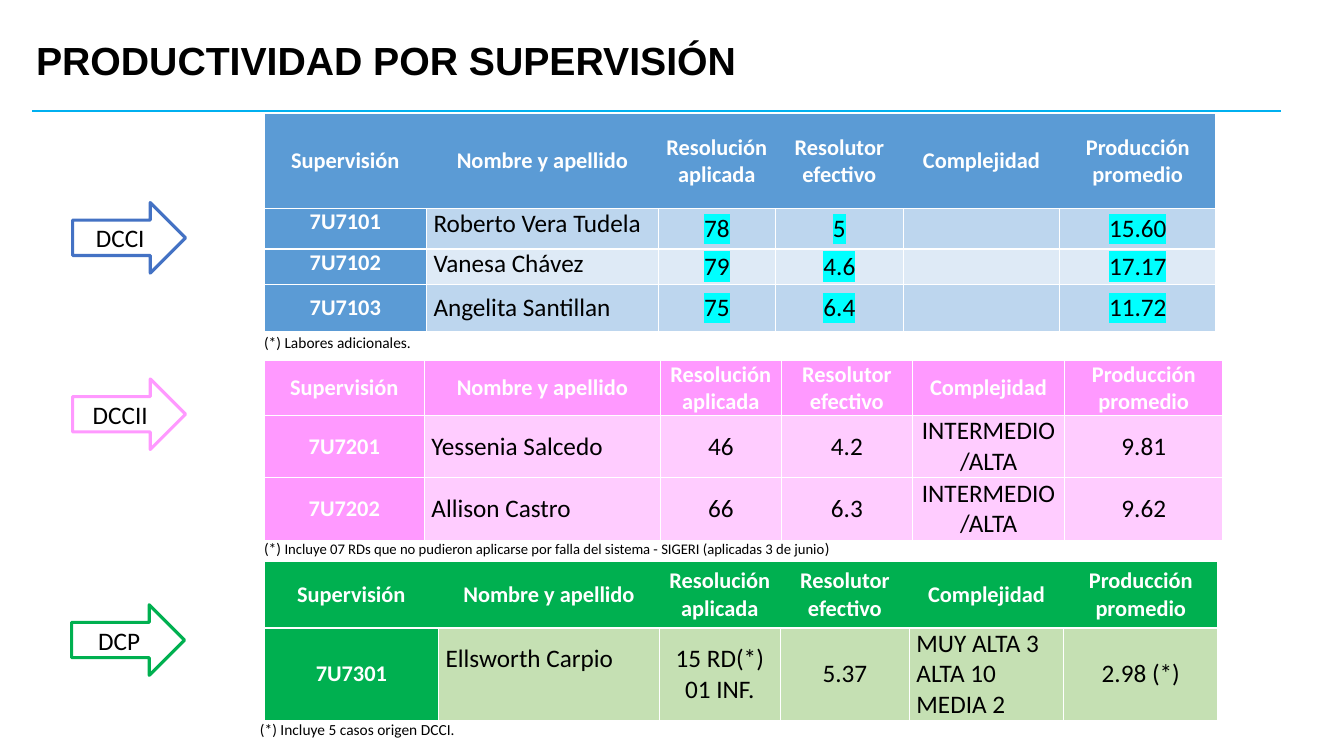
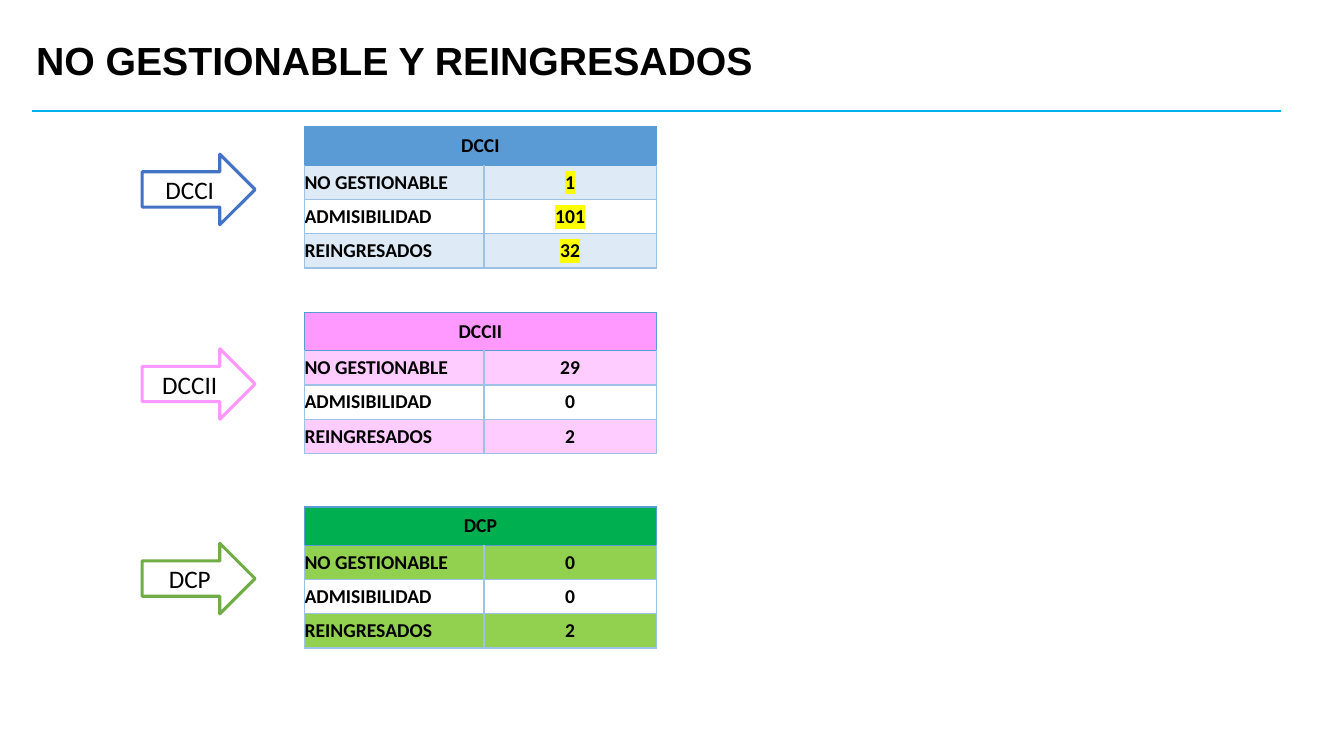
from dataclasses import dataclass

from lxml import etree
from pptx import Presentation
from pptx.dml.color import RGBColor
from pptx.enum.shapes import MSO_CONNECTOR, MSO_SHAPE
from pptx.enum.text import MSO_ANCHOR, PP_ALIGN
from pptx.oxml.ns import qn
from pptx.util import Pt

LEFT, CENTER = PP_ALIGN.LEFT, PP_ALIGN.CENTER
TOP, MIDDLE = MSO_ANCHOR.TOP, MSO_ANCHOR.MIDDLE
RIGHT_ARROW = MSO_SHAPE.RIGHT_ARROW
STRAIGHT = MSO_CONNECTOR.STRAIGHT
EMU_PER_PX = 9144  # 100 px to the inch
EDGES = ("L", "R", "T", "B")


@dataclass(frozen=True)
class Theme:
    title_font: str = "Arial"
    body_font: str = "Calibri"
    black: str = "000000"
    white: str = "FFFFFF"
    rule: str = "00B0F0"
    blue: str = "5B9BD5"
    blue_band: str = "BDD6EE"
    blue_pale: str = "DEEAF6"
    blue_arrow: str = "4472C4"
    pink: str = "FF99FF"
    pink_band: str = "FFCCFF"
    green: str = "00B050"
    green_band: str = "C5E0B3"
    lime_band: str = "92D050"
    lime_arrow: str = "70AD47"
    summary_grid: str = "9CC2E5"
    cyan_mark: str = "00FFFF"
    yellow_mark: str = "FFFF00"
    title_size: float = 28
    body_size: float = 18
    header_size: float = 16
    summary_size: float = 14
    note_size: float = 11
    note_small: float = 10.5
    rule_width: float = 1.5
    arrow_width: float = 2.25


THEME = Theme()
HEADERS = ("Supervisión", "Nombre y apellido", "Resolución aplicada",
           "Resolutor efectivo", "Complejidad", "Producción promedio")
SUMMARY_LABELS = ("NO GESTIONABLE", "ADMISIBILIDAD", "REINGRESADOS")


def px(*lengths):
    """Turn px into EMU, as one value or a list."""
    emu = [length * EMU_PER_PX for length in lengths]
    return emu[0] if len(emu) == 1 else emu


def rgb(value):
    return RGBColor.from_string(value)


def add_run(paragraph, text, size, color=THEME.black, bold=False,
            font=THEME.body_font, mark=None):
    run = paragraph.add_run()
    run.text = text
    run.font.size = Pt(size)
    run.font.bold = bold
    run.font.color.rgb = rgb(color)
    if mark:
        highlight = etree.SubElement(run.font._element, qn("a:highlight"))
        etree.SubElement(highlight, qn("a:srgbClr"), val=mark)
    run.font.name = font


def set_borders(cell, colors):
    """Draw 1 pt cell edges; colors follow EDGES, None hides an edge."""
    properties = cell._tc.get_or_add_tcPr()
    for position, (edge, color) in enumerate(zip(EDGES, colors)):
        line = etree.Element(qn(f"a:ln{edge}"), w=str(Pt(1)))
        if color:
            fill = etree.SubElement(line, qn("a:solidFill"))
            etree.SubElement(fill, qn("a:srgbClr"), val=color)
        else:
            etree.SubElement(line, qn("a:noFill"))
        properties.insert(position, line)


def fill_cell(cell, text, fill, borders, align=CENTER, anchor=MIDDLE,
              side=0, bottom=0, **style):
    cell.margin_left = cell.margin_right = px(side)
    cell.margin_top, cell.margin_bottom = px(0, bottom)
    cell.vertical_anchor = anchor
    if fill:
        cell.fill.solid()
        cell.fill.fore_color.rgb = rgb(fill)
    else:
        cell.fill.background()
    set_borders(cell, borders)
    for index, line in enumerate(text.split("\n") if text else ()):
        frame = cell.text_frame
        paragraph = frame.add_paragraph() if index else frame.paragraphs[0]
        paragraph.alignment = align
        add_run(paragraph, line, **style)


def add_grid(slide, left, top, widths, heights):
    """Add a table with the given column widths and row heights."""
    table = slide.shapes.add_table(
        len(heights), len(widths),
        *px(left, top, sum(widths), sum(heights))).table
    for column, width in zip(table.columns, widths):
        column.width = px(width)
    for row, height in zip(table.rows, heights):
        row.height = px(height)
    return table


def add_title_band(slide, title):
    rule = slide.shapes.add_connector(STRAIGHT, *px(32, 110, 1271, 110))
    rule.line.color.rgb = rgb(THEME.rule)
    rule.line.width = Pt(THEME.rule_width)
    etree.SubElement(rule._element.spPr, qn("a:effectLst"))
    frame = slide.shapes.add_textbox(*px(26, 27, 1150, 70)).text_frame
    frame.word_wrap = True
    frame.vertical_anchor = MIDDLE
    paragraph = frame.paragraphs[0]
    paragraph.line_spacing = 0.9
    add_run(paragraph, title, THEME.title_size, bold=True,
            font=THEME.title_font)


def add_section_arrow(slide, left, top, section, color):
    arrow = slide.shapes.add_shape(RIGHT_ARROW, *px(left, top, 112, 70))
    arrow.shadow.inherit = False
    arrow.fill.solid()
    arrow.fill.fore_color.rgb = rgb(THEME.white)
    arrow.line.color.rgb = rgb(color)
    arrow.line.width = Pt(THEME.arrow_width)
    arrow.text_frame.vertical_anchor = MIDDLE
    paragraph = arrow.text_frame.paragraphs[0]
    paragraph.alignment = CENTER
    add_run(paragraph, section, THEME.body_size)


def add_footnote(slide, left, top, *parts):
    """Add a note made of (text, size) parts."""
    frame = slide.shapes.add_textbox(*px(left, top, 945, 29)).text_frame
    frame.word_wrap = True
    for text, size in parts:
        add_run(frame.paragraphs[0], text, size)


def add_productivity_table(slide, left, top, widths, heights, color, bands,
                           rows, header_grid=False, top_rows=0, mark=None,
                           complexity_align=CENTER, name_bottom=0):
    """bands colour the body rows; the first top_rows sit at the top."""
    table = add_grid(slide, left, top, widths, heights)
    grid = (THEME.white,) * 4
    label = dict(size=THEME.header_size, color=THEME.white, bold=True)
    last = len(HEADERS) - 1
    for column, header in enumerate(HEADERS):
        edges = grid if header_grid else (
            None if column else THEME.white,
            THEME.white if column == last else None,
            THEME.white, THEME.white)
        fill_cell(table.cell(0, column), header, color, edges, side=7, **label)
    for index, (code, name, *figures) in enumerate(rows):
        row = index + 1
        band = bands[index % len(bands)]
        anchor = TOP if index < top_rows else MIDDLE
        fill_cell(table.cell(row, 0), code, color, grid, anchor=anchor,
                  side=7, **label)
        fill_cell(table.cell(row, 1), name, band, grid, LEFT, anchor, side=7,
                  bottom=name_bottom, size=THEME.body_size)
        for column, figure in enumerate(figures, 2):
            align = complexity_align if column == 4 else CENTER
            fill_cell(table.cell(row, column), figure, band, grid, align,
                      side=7, size=THEME.body_size, mark=mark)


def add_summary_table(slide, left, top, section, color, band, counts,
                      mark=None):
    table = add_grid(slide, left, top, (178, 171), (38, 34, 34, 34))
    style = dict(size=THEME.summary_size, bold=True)
    table.cell(0, 0).merge(table.cell(0, 1))
    for column, text in enumerate((section, "")):
        fill_cell(table.cell(0, column), text, color, (THEME.blue,) * 4,
                  **style)
    for row, (label, count) in enumerate(zip(SUMMARY_LABELS, counts), 1):
        grid = THEME.summary_grid
        edges = (grid, grid, THEME.blue if row == 1 else grid, grid)
        fill = band if row % 2 else None
        fill_cell(table.cell(row, 0), label, fill, edges, LEFT, **style)
        fill_cell(table.cell(row, 1), count, fill, edges, mark=mark, **style)


def build_productivity(slide):
    add_title_band(slide, "PRODUCTIVIDAD POR SUPERVISIÓN")
    for left, top, section, color in (
            (72, 201, "DCCI", THEME.blue_arrow),
            (72, 376, "DCCII", THEME.pink),
            (71, 600, "DCP", THEME.green)):
        add_section_arrow(slide, left, top, section, color)
    add_productivity_table(
        slide, 262, 113, (161, 230, 116, 127, 155, 155), (94, 40, 35, 47),
        THEME.blue, (THEME.blue_band, THEME.blue_pale),
        (("7U7101", "Roberto Vera Tudela", "78", "5", "", "15.60"),
         ("7U7102", "Vanesa Chávez", "79", "4.6", "", "17.17"),
         ("7U7103", "Angelita Santillan", "75", "6.4", "", "11.72")),
        top_rows=2, mark=THEME.cyan_mark)
    add_productivity_table(
        slide, 262, 358, (159, 234, 120, 130, 151, 157), (54, 62, 62),
        THEME.pink, (THEME.pink_band,),
        (("7U7201", "Yessenia Salcedo", "46", "4.2", "INTERMEDIO/ALTA", "9.81"),
         ("7U7202", "Allison Castro", "66", "6.3", "INTERMEDIO/ALTA", "9.62")),
        header_grid=True)
    add_productivity_table(
        slide, 262, 557, (173, 219, 120, 128, 153, 153), (66, 92),
        THEME.green, (THEME.green_band,),
        (("7U7301", "Ellsworth Carpio", "15 RD(*)\n01 INF.", "5.37",
          "MUY ALTA 3\nALTA 10\nMEDIA 2", "2.98 (*)"),),
        complexity_align=LEFT, name_bottom=30)
    add_footnote(slide, 252, 326, ("(*) Labores adicionales.", THEME.note_size))
    add_footnote(
        slide, 252, 530, ("(*) ", THEME.note_size),
        ("Incluye 07 RDs que no pudieron aplicarse por falla del sistema - "
         "SIGERI (aplicadas 3 de junio", THEME.note_small),
        (")", THEME.note_size))
    add_footnote(slide, 248, 709,
                 ("(*) Incluye 5 casos origen DCCI.", THEME.note_size))


def build_summary(slide):
    add_title_band(slide, "NO GESTIONABLE Y REINGRESADOS")
    sections = (
        ("DCCI", 126, THEME.blue_arrow, THEME.blue, THEME.blue_pale,
         ("1", "101", "32"), THEME.yellow_mark),
        ("DCCII", 310, THEME.pink, THEME.pink, THEME.pink_band,
         ("29", "0", "2"), None),
        ("DCP", 503, THEME.lime_arrow, THEME.green, THEME.lime_band,
         ("0", "0", "2"), None))
    for index, (section, top, outline, color, band, counts, mark) in enumerate(
            sections):
        add_section_arrow(slide, 141, 153 + 193 * index, section, outline)
        add_summary_table(slide, 302, top, section, color, band, counts, mark)


def main():
    deck = Presentation()
    deck.slide_width, deck.slide_height = px(1333, 750)
    blank = deck.slide_layouts[6]
    for build in (build_productivity, build_summary):
        build(deck.slides.add_slide(blank))
    deck.save("out.pptx")


if __name__ == "__main__":
    main()
